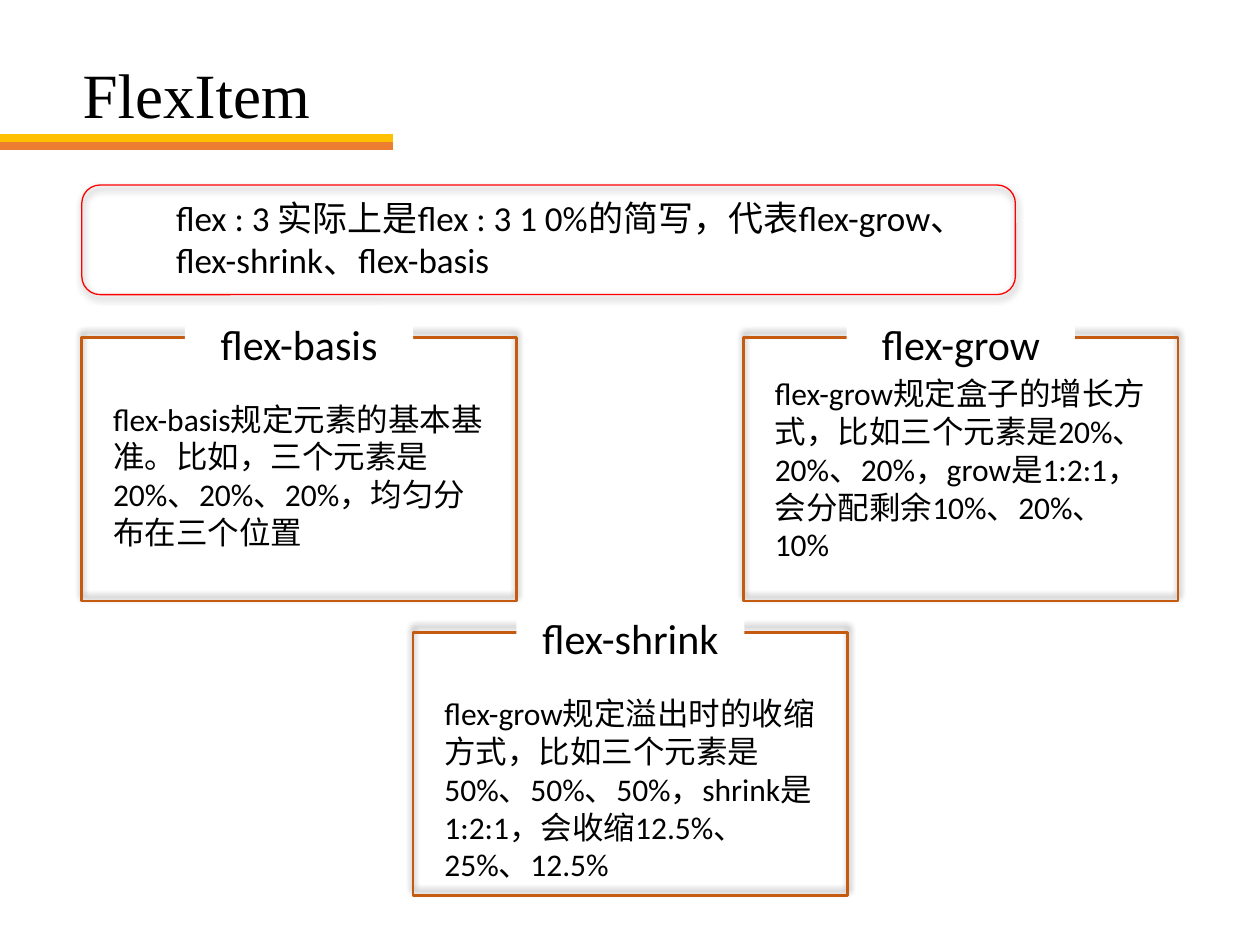
from lxml import etree
from pptx import Presentation
from pptx import util as u
from pptx.dml.color import RGBColor
from pptx.enum import shapes, text
from pptx.oxml.ns import qn

BLACK, WHITE, RED = "000000", "FFFFFF", "FF0000"
GOLD, ORANGE, RUST = "FFC000", "ED7D31", "C55A11"

# Shadows: opacity in percent, blur and distance in points, angle in degrees
BANNER_SHADOW = {"opacity": 63, "blur": 4.5, "distance": 1.5, "angle": 90}
CARD_SHADOW = {"opacity": 40, "blur": 4, "distance": 3, "angle": 270}

# Cards: left, top, heading, body, body offset from the card top, body height
CARDS = [
    (1.65, 6.81, "flex-basis",
     "flex-basis规定元素的基本基准。比如，三个元素是20%、20%、20%，均匀分布在三个位置",
     1.12, 3.33),
    (14.99, 6.81, "flex-grow",
     "flex-grow规定盒子的增长方式，比如三个元素是20%、20%、20%，grow是1:2:1，会分配剩余10%、20%、10%",
     0.61, 4.11),
    (8.33, 12.75, "flex-shrink",
     "flex-grow规定溢出时的收缩方式，比如三个元素是50%、50%、50%，shrink是1:2:1，会收缩12.5%、25%、12.5%",
     1.12, 3.33),
]


def color(value):
    return RGBColor.from_string(value)


def cm(*lengths):
    return [u.Cm(length) for length in lengths]


def add_rule(slide, y, line_color):
    rule = slide.shapes.add_connector(
        shapes.MSO_CONNECTOR.STRAIGHT, *cm(0, y, 7.92, y))
    rule.line.color.rgb = color(line_color)
    rule.line.width = u.Pt(4.5)
    etree.SubElement(rule._element.spPr, qn("a:effectLst"))


def add_shadow(shape, opacity, blur, distance, angle):
    shape.shadow.inherit = False
    effects = shape._element.spPr.find(qn("a:effectLst"))
    shadow = etree.SubElement(
        effects, qn("a:outerShdw"), blurRad=str(u.Pt(blur)),
        dist=str(u.Pt(distance)), dir=str(angle * 60000), rotWithShape="0")
    shade = etree.SubElement(shadow, qn("a:srgbClr"), val=BLACK)
    etree.SubElement(shade, qn("a:alpha"), val=str(opacity * 1000))


def add_frame(slide, kind, box, line_color, width, shadow):
    frame = slide.shapes.add_shape(kind, *cm(*box))
    frame.fill.background()
    frame.line.color.rgb = color(line_color)
    frame.line.width = u.Pt(width)
    add_shadow(frame, **shadow)


def add_text(slide, box, content, size, font="Calibri", fill=None,
             anchor=text.MSO_ANCHOR.TOP, **paragraph_format):
    shape = slide.shapes.add_textbox(*cm(*box))
    if fill:
        shape.fill.solid()
        shape.fill.fore_color.rgb = color(fill)
    frame = shape.text_frame
    frame.word_wrap = True
    frame.vertical_anchor = anchor
    paragraph = frame.paragraphs[0]
    for name, value in paragraph_format.items():
        setattr(paragraph, name, value)
    run = paragraph.add_run()
    run.text = content
    for name, value in {"name": font, "size": u.Pt(size)}.items():
        setattr(run.font, name, value)
    run.font.color.rgb = color(BLACK)


def add_card(slide, left, top, heading, body, body_offset, body_height):
    add_frame(slide, shapes.MSO_SHAPE.RECTANGLE, (left, top, 8.76, 5.31),
              RUST, 1.5, CARD_SHADOW)
    # The white heading box interrupts the top border
    add_text(slide, (left + 2.08, top - 0.52, 4.6, 1.28), heading, 24,
             fill=WHITE, alignment=text.PP_ALIGN.CENTER)
    add_text(slide, (left + 0.38, top + body_offset, 8, body_height), body, 18)


def main():
    presentation = Presentation()
    presentation.slide_width, presentation.slide_height = cm(25.4, 19.05)
    slide = presentation.slides.add_slide(presentation.slide_layouts[6])

    # Title with its double rule
    add_rule(slide, 2.79, GOLD)
    add_rule(slide, 2.95, ORANGE)
    add_text(slide, (0, 1.07, 7.92, 1.8), "FlexItem", 36,
             font="Times New Roman", anchor=text.MSO_ANCHOR.MIDDLE,
             alignment=text.PP_ALIGN.CENTER, line_spacing=0.9)

    # Summary banner
    add_frame(slide, shapes.MSO_SHAPE.ROUNDED_RECTANGLE,
              (1.65, 3.73, 18.82, 2.21), RED, 0.75, BANNER_SHADOW)
    add_text(slide, (3.3, 3.84, 16.46, 1.96),
             "flex : 3 实际上是flex : 3 1 0%的简写，代表flex-grow、flex-shrink、flex-basis",
             20)

    # Property cards
    for card in CARDS:
        add_card(slide, *card)

    presentation.save("out.pptx")


if __name__ == "__main__":
    main()
